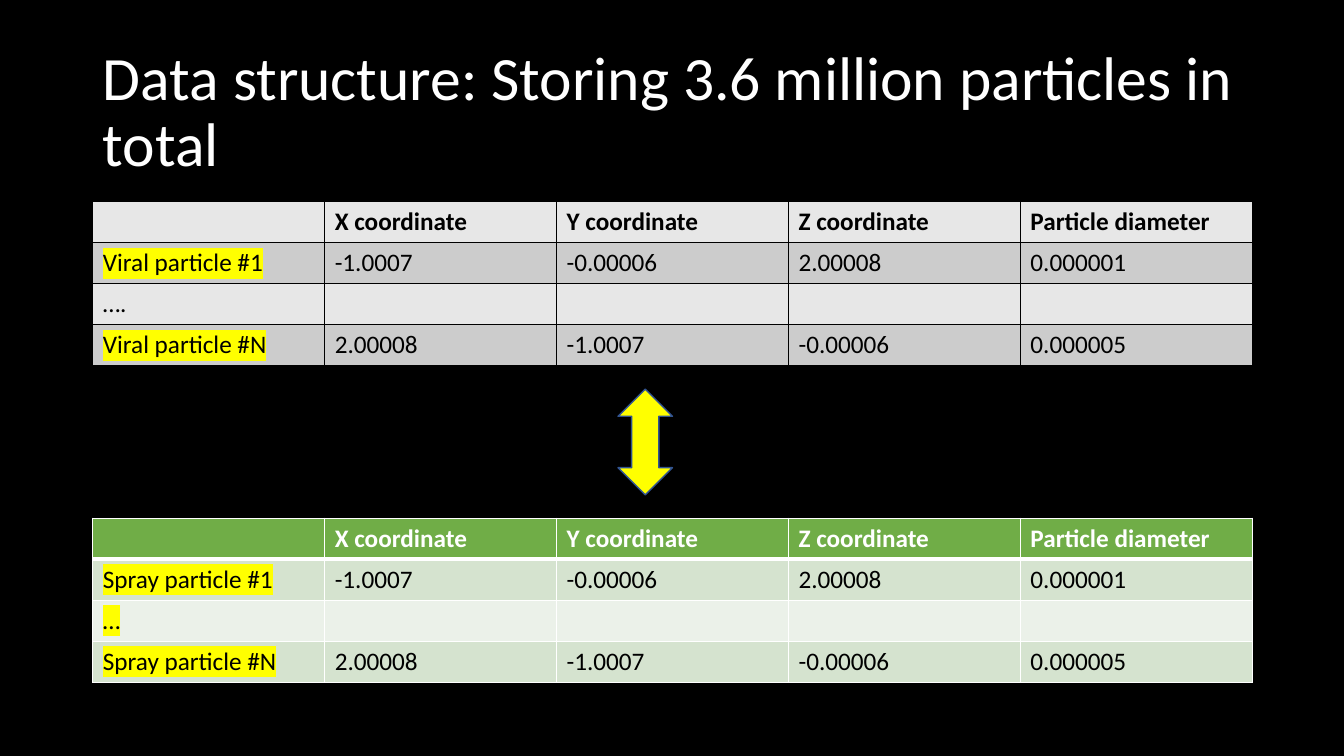
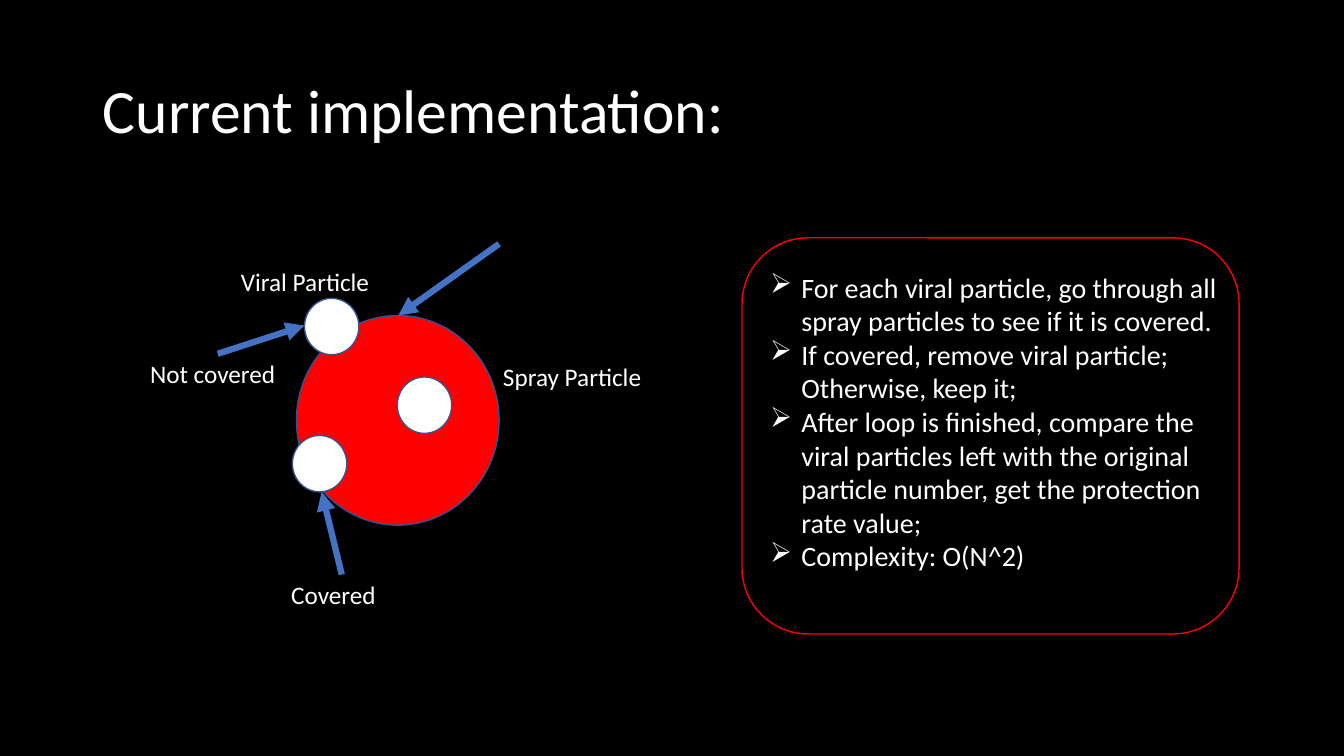
"""Build two slides on matching viral particles with spray particles."""
from lxml import etree
from pptx import Presentation
from pptx import util as u
from pptx.dml.color import RGBColor
from pptx.enum import shapes, text
from pptx.oxml.ns import qn

FONT = "Calibri"
BLACK, WHITE, YELLOW, RED = "000000", "FFFFFF", "FFFF00", "FF0000"
BLUE, EDGE = "4472C4", "325491"
LEFT, WIDE = 0.92, 11.5
HEAD = ["", "X coordinate", "Y coordinate", "Z coordinate", "Particle diameter"]
FIRST = ["-1.0007", "-0.00006", "2.00008", "0.000001"]
LAST = ["2.00008", "-1.0007", "-0.00006", "0.000005"]
GAP = [""] * 4
STEPS = [
    "For each viral particle, go through all spray particles to see if it is covered.",
    "If covered, remove viral particle; Otherwise, keep it;",
    "After loop is finished, compare the viral particles left with the original "
    "particle number, get the protection rate value;",
    "Complexity: O(N^2)",
]


def color(code):
    """Turn a hex string into a colour."""
    return RGBColor.from_string(code)


def inches(*sizes):
    """Turn numbers into lengths."""
    return [u.Inches(size) for size in sizes]


def child(parent, tag, **attrs):
    """Append an XML element to a parent."""
    return etree.SubElement(parent, qn(tag), attrs)


def paint(fill, code):
    """Make a fill solid."""
    fill.solid()
    fill.fore_color.rgb = color(code)


def write(para, words, size, code=WHITE, bold=False, mark=None):
    """Add one run, with an optional highlight."""
    run = para.add_run()
    run.text = words
    font = run.font
    font.size, font.bold = u.Pt(size), bold
    paint(font.fill, code)
    if mark:
        props = run._r.get_or_add_rPr()
        glow = child(props, "a:highlight")
        child(glow, "a:srgbClr", val=mark)
    font.name = FONT


def page(deck, words):
    """Add a title-only slide with the shared title style."""
    slide = deck.slides.add_slide(deck.slide_layouts[5])
    title = slide.shapes.title
    title.left, title.top, title.width, title.height = inches(LEFT, 0.4, WIDE, 1.45)
    frame = title.text_frame
    frame.auto_size = text.MSO_AUTO_SIZE.NONE
    frame.vertical_anchor = text.MSO_ANCHOR.MIDDLE
    para = frame.paragraphs[0]
    para.alignment = text.PP_ALIGN.LEFT
    para.line_spacing = 0.9
    write(para, words, 44)
    return slide


def form(parent, kind, box, fill=None, line=EDGE):
    """Add a preset shape with a thin outline."""
    item = parent.add_shape(kind, *inches(*box))
    item.shadow.inherit = False
    if fill:
        paint(item.fill, fill)
    else:
        item.fill.background()
    item.line.color.rgb = color(line)
    item.line.width = u.Pt(1)


def note(parent, box):
    """Add a wrapping text box and return its frame."""
    frame = parent.add_textbox(*inches(*box)).text_frame
    frame.word_wrap = True
    return frame


def arrow(parent, start, end):
    """Add a thick arrow that points at its end."""
    line = parent.add_connector(shapes.MSO_CONNECTOR.STRAIGHT, *inches(*start, *end))
    line.line.color.rgb = color(BLUE)
    line.line.width = u.Pt(4.5)
    child(line.line._get_or_add_ln(), "a:tailEnd", type="triangle")
    child(line._element.spPr, "a:effectLst")


def border(cell, code, top=1, bottom=1):
    """Draw the four borders of a cell."""
    props = cell._tc.get_or_add_tcPr()
    for side, width in zip("LRTB", (1, 1, top, bottom)):
        line = child(props, "a:ln" + side, w=str(u.Pt(width)))
        child(child(line, "a:solidFill"), "a:srgbClr", val=code)


def grid(slide, box, rows, fills, ink, edge, marks, rule=1):
    """Add a table: fills are head, odd and even rows; marks are lit rows."""
    table = slide.shapes.add_table(len(rows), len(HEAD), *inches(*box)).table
    head, odd, even = fills
    for y, row in enumerate(rows):
        for x, words in enumerate(row):
            cell = table.cell(y, x)
            border(cell, edge, rule if y == 1 else 1, rule if y == 0 else 1)
            paint(cell.fill, head if y == 0 else odd if y % 2 else even)
            if words:
                mark = YELLOW if x == 0 and y in marks else None
                write(cell.text_frame.paragraphs[0], words, 18,
                      BLACK if y else ink, y == 0, mark)


def records(name, dots):
    """List the table rows for one kind of particle."""
    return [HEAD, [name + " #1"] + FIRST, [dots] + GAP, [name + " #N"] + LAST]


def store(deck):
    """Build the slide with both particle tables."""
    slide = page(deck, "Data structure: Storing 3.6 million particles in total")
    grid(slide, (LEFT, 2, WIDE, 1.63), records("Viral particle", "…."),
         ("E7E7E7", "CCCCCC", "E7E7E7"), BLACK, BLACK, (1, 3))
    grid(slide, (LEFT, 5.14, WIDE, 1.63), records("Spray particle", "…"),
         ("70AD47", "D5E3CF", "EBF1E9"), WHITE, WHITE, (1, 2, 3), 3)
    form(slide.shapes, shapes.MSO_SHAPE.UP_DOWN_ARROW, (6.13, 3.86, 0.54, 1.05), YELLOW)


def sketch(slide, left, top):
    """Draw the spray particle with viral particles, arrows and labels."""
    group = slide.shapes.add_group_shape().shapes
    oval = shapes.MSO_SHAPE.OVAL
    form(group, oval, (left + 1.55, top + 0.71, 2.01, 2.08), RED)
    for x, y in ((1.63, 0.54), (2.55, 1.32), (1.51, 1.9)):
        form(group, oval, (left + x, top + y, 0.54, 0.56), WHITE)
    for x, y, end_x, end_y in ((3.56, 0, 2.56, 0.71), (0.77, 1.09, 1.63, 0.81),
                               (2, 3.28, 1.8, 2.46)):
        arrow(group, (left + x, top + y), (left + end_x, top + end_y))
    for words, x, y, width in (("Spray Particle", 3.5, 1.12, 2.01),
                               ("Viral Particle", 0.9, 0.17, 2.01),
                               ("Not covered", 0, 1.09, 1.53),
                               ("Covered", 1.4, 3.28, 1.16)):
        frame = note(group, (left + x, top + y, width, 0.4))
        write(frame.paragraphs[0], words, 18)


def steps(slide, left, top, width, height):
    """Draw the framed list of steps."""
    form(slide.shapes, shapes.MSO_SHAPE.ROUNDED_RECTANGLE,
         (left, top, width, height), line=RED)
    frame = note(slide.shapes, (left + 0.18, top + 0.27, width - 0.27, height - 0.5))
    for i, words in enumerate(STEPS):
        para = frame.add_paragraph() if i else frame.paragraphs[0]
        props = para._p.get_or_add_pPr()
        props.set("marL", str(u.Inches(0.31)))
        props.set("indent", str(u.Inches(-0.31)))
        child(props, "a:buChar", char="➢")
        write(para, words, 20)


def method(deck):
    """Build the slide on the current method."""
    slide = page(deck, "Current implementation:")
    sketch(slide, 1.39, 2.42)
    steps(slide, 7.36, 2.36, 4.93, 3.93)


def main():
    """Build and save the deck."""
    deck = Presentation()
    deck.slide_width, deck.slide_height = inches(13.33, 7.5)
    paint(deck.slide_master.background.fill, BLACK)
    store(deck)
    method(deck)
    deck.save("out.pptx")


main()
